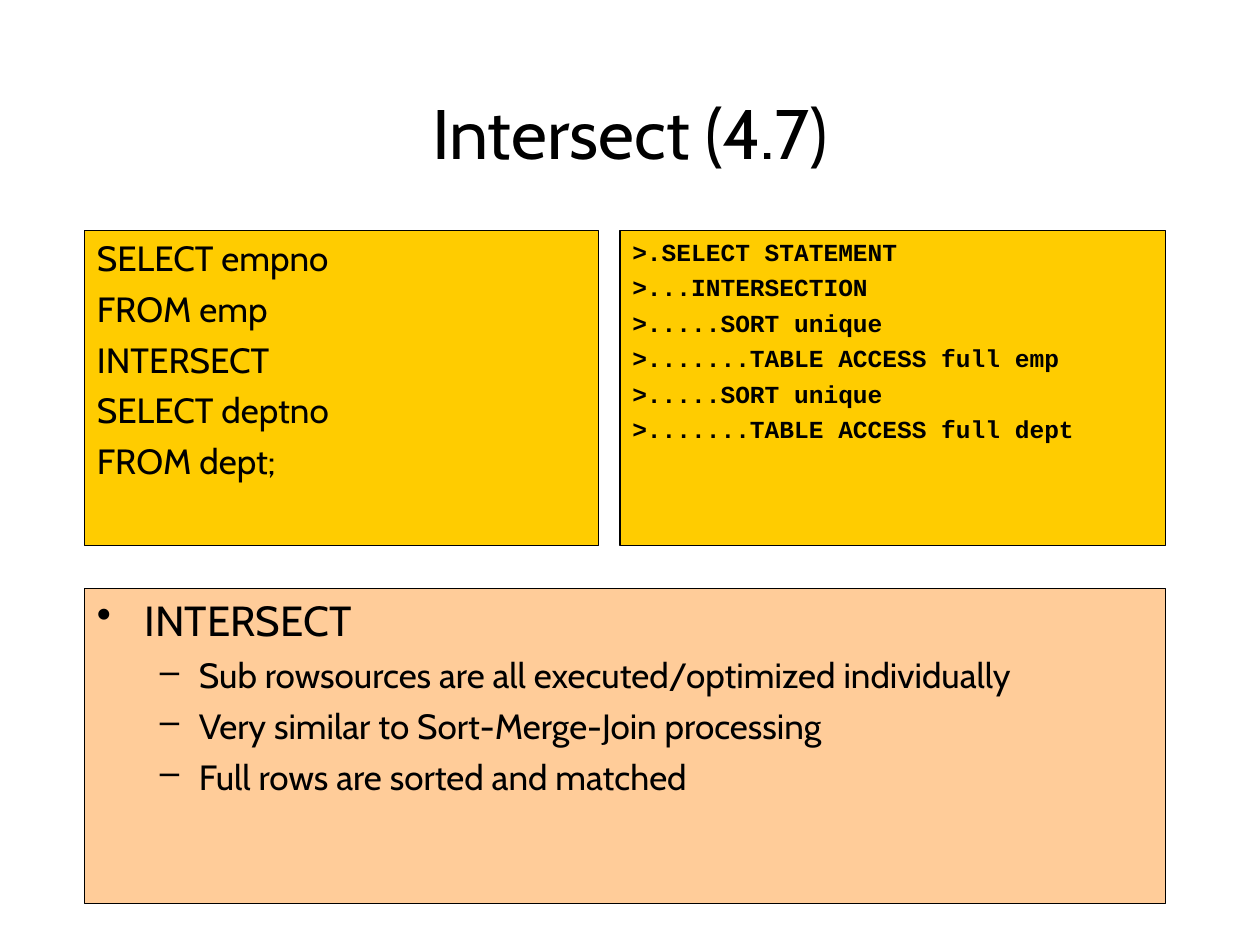
from lxml.etree import SubElement
from pptx import Presentation
from pptx.dml.color import RGBColor
from pptx.enum.shapes import MSO_SHAPE
from pptx.enum.text import MSO_ANCHOR, PP_ALIGN
from pptx.oxml.ns import qn
from pptx.util import Inches, Pt

TITLE = "Intersect (4.7)"
QUERY = ["SELECT empno", "FROM emp", "INTERSECT", "SELECT deptno", "FROM dept;"]
PLAN = [
    ">.SELECT STATEMENT",
    ">...INTERSECTION",
    ">.....SORT unique",
    ">.......TABLE ACCESS full emp",
    ">.....SORT unique",
    ">.......TABLE ACCESS full dept",
]
NOTES = [
    ("INTERSECT", "topic"),
    ("Sub rowsources are all executed/optimized individually", "detail"),
    ("Very similar to Sort-Merge-Join processing", "detail"),
    ("Full rows are sorted and matched", "detail"),
]

STYLES = {
    "query": dict(size=20, before=5, margin=0.38, hang=0.38),
    "plan": dict(size=14, before=3.5, margin=0.38, hang=0.38, font="Courier New", bold=True),
    "topic": dict(size=24, before=6, margin=0.38, hang=0.38, bullet="•"),
    "detail": dict(size=20, before=5, margin=0.81, hang=0.31, bullet="–", level=1),
}

INK, GOLD, PEACH = "000000", "FFCC00", "FFCC99"
LEFT, RIGHT = 0.67, 9.25
TOP, PANEL_HEIGHT, ROW_GAP = 1.83, 2.5, 0.34
QUERY_WIDTH, COLUMN_GAP = 4.08, 0.17
PLAN_LEFT = LEFT + QUERY_WIDTH + COLUMN_GAP
NOTES_TOP = TOP + PANEL_HEIGHT + ROW_GAP


def color(code):
    return RGBColor.from_string(code)


def add_run(paragraph, text, size, font="Cabin", bold=False):
    run = paragraph.add_run()
    run.text = text
    run.font.size = Pt(size)
    run.font.name = font
    run.font.bold = bold
    run.font.color.rgb = color(INK)


def format_line(paragraph, text, size, before, margin, hang,
                font="Cabin", bold=False, bullet=None, level=0):
    paragraph.alignment = PP_ALIGN.LEFT
    paragraph.level = level
    paragraph.space_before = Pt(before)
    properties = paragraph._p.get_or_add_pPr()
    properties.set("marL", str(Inches(margin)))
    properties.set("indent", str(-Inches(hang)))
    if bullet:
        bullet_color = SubElement(properties, qn("a:buClr"))
        SubElement(bullet_color, qn("a:srgbClr"), val=INK)
        SubElement(properties, qn("a:buChar"), char=bullet)
    add_run(paragraph, text, size, font, bold)


def add_panel(slide, left, top, width, fill, lines):
    panel = slide.shapes.add_shape(
        MSO_SHAPE.RECTANGLE, Inches(left), Inches(top), Inches(width), Inches(PANEL_HEIGHT))
    panel.shadow.inherit = False
    panel.fill.solid()
    panel.fill.fore_color.rgb = color(fill)
    panel.line.color.rgb = color(INK)
    panel.line.width = Pt(0.75)
    frame = panel.text_frame
    frame.word_wrap = True
    frame.vertical_anchor = MSO_ANCHOR.TOP
    for index, (text, style) in enumerate(lines):
        paragraph = frame.add_paragraph() if index else frame.paragraphs[0]
        format_line(paragraph, text, **STYLES[style])


def main():
    deck = Presentation()
    deck.slide_width, deck.slide_height = Inches(10), Inches(7.5)
    slide = deck.slides.add_slide(deck.slide_layouts[5])

    title = slide.shapes.title
    title.left, title.top = Inches(0.75), Inches(0.67)
    title.width, title.height = Inches(8.5), Inches(0.75)
    title.text_frame.vertical_anchor = MSO_ANCHOR.MIDDLE
    heading = title.text_frame.paragraphs[0]
    heading.alignment = PP_ALIGN.CENTER
    add_run(heading, TITLE, 40)

    add_panel(slide, LEFT, NOTES_TOP, RIGHT - LEFT, PEACH, NOTES)
    add_panel(slide, PLAN_LEFT, TOP, RIGHT - PLAN_LEFT, GOLD, [(step, "plan") for step in PLAN])
    add_panel(slide, LEFT, TOP, QUERY_WIDTH, GOLD, [(clause, "query") for clause in QUERY])
    deck.save("out.pptx")


if __name__ == "__main__":
    main()
